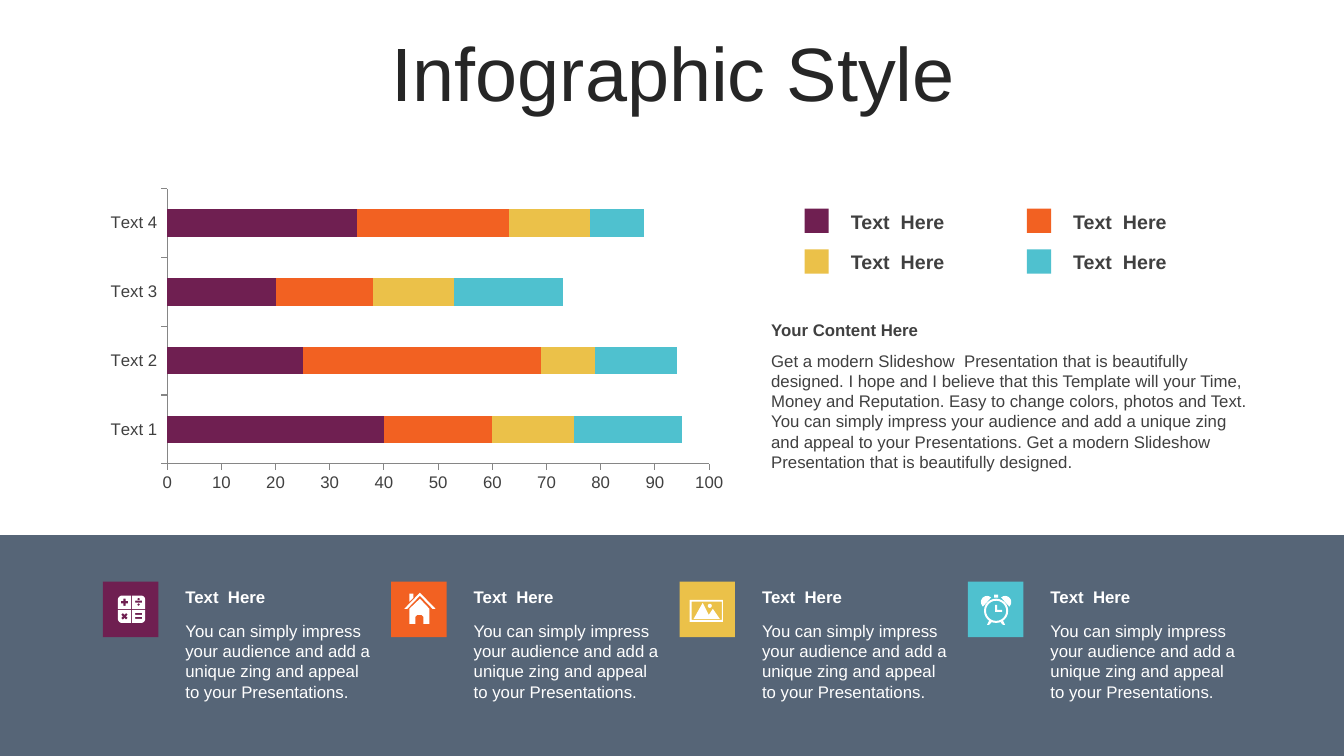
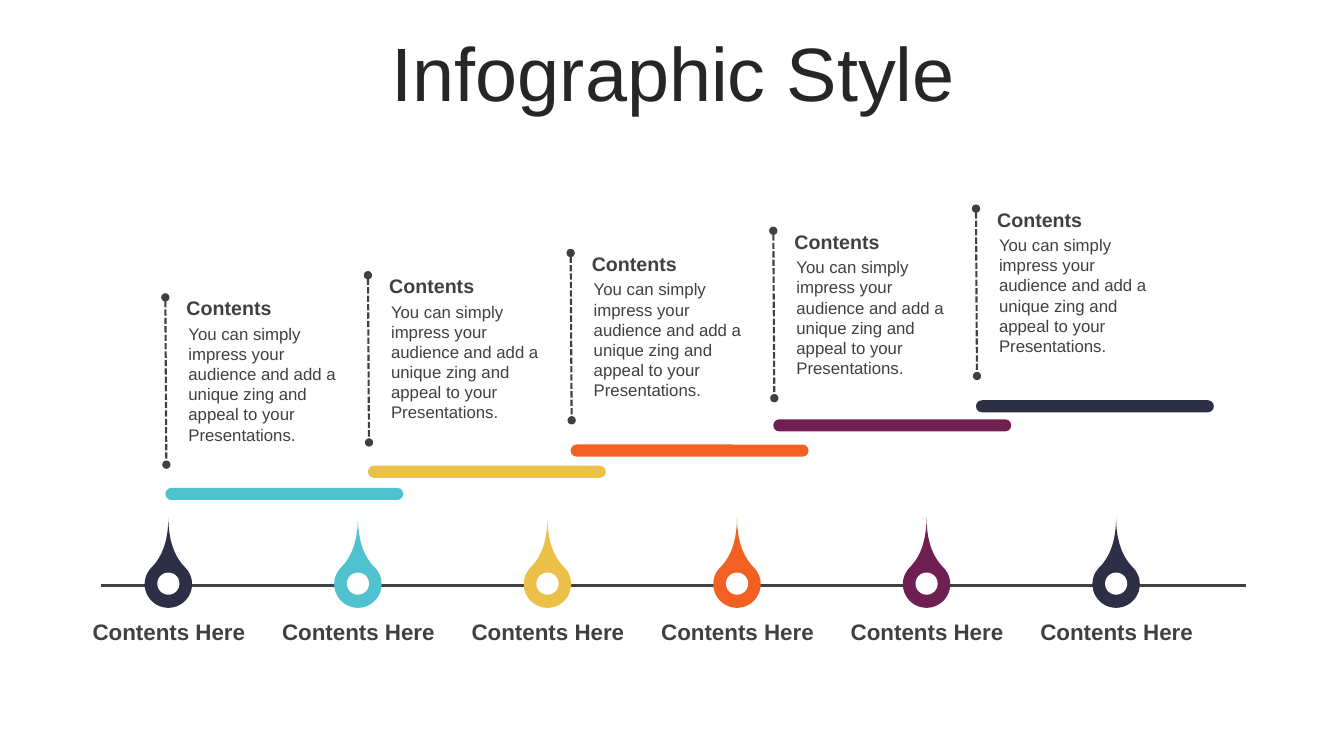
import dataclasses
import math

import lxml.etree
import pptx
import pptx.chart.data
import pptx.dml.color
import pptx.enum.chart
import pptx.enum.dml
import pptx.enum.shapes
import pptx.enum.text
import pptx.oxml.ns
import pptx.util

Inches = pptx.util.Inches
SHAPES = pptx.enum.shapes.MSO_SHAPE
ALIGN = pptx.enum.text.PP_ALIGN
qn = pptx.oxml.ns.qn


@dataclasses.dataclass(frozen=True)
class Theme:
    font: str = "Arial"
    title_color: str = "262626"
    text: str = "404040"
    white: str = "FFFFFF"
    axis: str = "868686"
    band: str = "0F243E"
    plum: str = "6F1F51"
    orange: str = "F26122"
    yellow: str = "EBC149"
    teal: str = "4FC1CF"
    navy: str = "2C2F45"
    title_size: int = 54
    label_size: int = 16
    heading_size: int = 14
    body_size: int = 12


THEME = Theme()
SERIES_COLORS = (THEME.plum, THEME.orange, THEME.yellow, THEME.teal)
STEP_COLORS = (THEME.teal, THEME.yellow, THEME.orange, THEME.plum, THEME.navy)

TITLE = "Infographic Style"
SHORT_TEXT = ("You can simply impress your audience and add a unique zing "
              "and appeal to your Presentations.")
LONG_TEXT = ("Get a modern Slideshow  Presentation that is beautifully designed. "
             "I hope and I believe that this Template will your Time, Money and "
             "Reputation. Easy to change colors, photos and Text. You can simply "
             "impress your audience and add a unique zing and appeal to your "
             "Presentations. Get a modern Slideshow  Presentation that is "
             "beautifully designed.")
CATEGORIES = ("Text 1", "Text 2", "Text 3", "Text 4")
SERIES = {
    "Series 1": (40, 25, 20, 35),
    "Series 2": (20, 44, 18, 28),
    "Series 3": (15, 10, 15, 15),
    "Series 4": (20, 15, 20, 10),
}


# Shared helpers
def rgb(value):
    return pptx.dml.color.RGBColor.from_string(value)


def set_all(target, values):
    for name, value in values.items():
        setattr(target, name, value)


def set_font(font, size, color, bold=False):
    set_all(font, {"name": THEME.font, "size": pptx.util.Pt(size), "bold": bold})
    font.color.rgb = rgb(color)


def paint(shape, color):
    shape.shadow.inherit = False
    shape.fill.solid()
    shape.fill.fore_color.rgb = rgb(color)
    shape.line.fill.background()
    return shape


def add_block(page, kind, box, color):
    shape = page.shapes.add_shape(kind, *map(Inches, box))
    return paint(shape, color)


def add_text(page, box, text, size, color, bold=False, align=ALIGN.LEFT, margins=(0.1, 0.05)):
    frame = page.shapes.add_textbox(*map(Inches, box)).text_frame
    side, edge = map(Inches, margins)
    set_all(frame, {"word_wrap": True, "margin_left": side, "margin_right": side,
                    "margin_top": edge, "margin_bottom": edge,
                    "auto_size": pptx.enum.text.MSO_AUTO_SIZE.SHAPE_TO_FIT_TEXT})
    para = frame.paragraphs[0]
    para.alignment = align
    span = para.add_run()
    span.text = text
    set_font(span.font, size, color, bold)


def add_line(page, start, end, width, dotted_ends=False):
    line = page.shapes.add_connector(pptx.enum.shapes.MSO_CONNECTOR.STRAIGHT,
                                     *map(Inches, (*start, *end)))
    line.line.color.rgb = rgb(THEME.text)
    line.line.width = pptx.util.Pt(width)
    properties = line._element.spPr
    if dotted_ends:
        line.line.dash_style = pptx.enum.dml.MSO_LINE.SQUARE_DOT
        for end_tag in ("a:headEnd", "a:tailEnd"):
            lxml.etree.SubElement(properties.find(qn("a:ln")), qn(end_tag), type="oval")
    lxml.etree.SubElement(properties, qn("a:effectLst"))


def add_titled_page(deck):
    page = deck.slides.add_slide(deck.slide_layouts[5])
    title = page.shapes.title
    set_all(title, dict(zip(("left", "top", "width", "height"),
                            map(Inches, (0.35, 0.37, 12.66, 0.79)))))
    frame = title.text_frame
    frame.text = TITLE
    set_all(frame, {"word_wrap": True, "auto_size": pptx.enum.text.MSO_AUTO_SIZE.NONE,
                    "vertical_anchor": pptx.enum.text.MSO_ANCHOR.MIDDLE})
    para = frame.paragraphs[0]
    set_all(para, {"alignment": ALIGN.CENTER, "line_spacing": 0.9})
    set_font(para.runs[0].font, THEME.title_size, THEME.title_color)
    return page


# Icon outlines, in hundredths of an inch from the tile corner
def arc(x, y, radius, start=0, stop=360, steps=24):
    angles = [math.radians(start + (stop - start) * i / steps) for i in range(steps + 1)]
    return [(x + radius * math.cos(a), y + radius * math.sin(a)) for a in angles]


def rectangle(left, top, right, bottom):
    return [(left, top), (right, top), (right, bottom), (left, bottom)]


def cross(x, y, turn=0):
    arm, half = 3.5, 1.2
    corners = []
    for quarter in range(4):
        angle = math.radians(turn + 90 * quarter)
        for along, across in ((arm, -half), (arm, half), (half, half)):
            corners.append((x + along * math.cos(angle) - across * math.sin(angle),
                            y + along * math.sin(angle) + across * math.cos(angle)))
    return corners


def mirror(outline, axis):
    return [(2 * axis - x, y) for x, y in outline]


def calculator_icon():
    key = [(0.5, 0.5), (13.5, 0.5), *arc(9.5, 9.5, 4, 0, 90, 6), (0.5, 13.5)]
    keys = [[(28.5 + sx * x, 27.5 + sy * y) for x, y in key]
            for sx in (-1, 1) for sy in (-1, 1)]
    divide = [rectangle(32, 19, 39, 21), arc(35.5, 17.4, 1.2), arc(35.5, 22.8, 1.2)]
    equals = [rectangle(32, 31, 39, 33), rectangle(32, 35, 39, 37)]
    return [*keys, cross(21.5, 20.5), cross(21.5, 34.5, 45), *divide, *equals]


def house_icon():
    roof = [(28.5, 11), (44, 27), (41, 27), (28.5, 14), (16, 27), (13, 27)]
    chimney = [(18, 12), (22, 12), (22, 16), (18, 20)]
    walls = [(28.5, 17), (38, 27), (38, 42), (32, 42), (32, 35), (30, 33),
             (26, 33), (24, 35), (24, 42), (18, 42), (18, 27)]
    return [roof, chimney, walls]


def photo_icon():
    hills = [(23, 21), (29, 33), (33, 27), (40, 37), (14, 37)]
    return [rectangle(10, 18, 43, 40), rectangle(12, 20, 42, 38), hills, arc(30, 24, 2)]


def clock_icon():
    hands = [(27, 23), (29, 23), (29, 28), (34, 28), (34, 30), (27, 30)]
    bell = arc(19, 20.3, 6, 132, 312)
    leg = [(21, 43), (19, 43), (21, 39), (23.5, 40.5)]
    return [arc(28, 29, 12), arc(28, 29, 10), hands, rectangle(26, 13, 30, 16),
            bell, mirror(bell, 28), leg, mirror(leg, 28)]


def add_icon(page, left, top, outlines):
    scaled = [[(x * 10, y * 10) for x, y in outline] for outline in outlines]
    builder = page.shapes.build_freeform(*scaled[0][0], scale=Inches(1) / 1000)
    for index, outline in enumerate(scaled):
        if index:
            builder.move_to(*outline[0])
        builder.add_line_segments(outline[1:], close=True)
    paint(builder.convert_to_shape(Inches(left), Inches(top)), THEME.white)


# Chart slide regions
def add_bar_chart(page, box):
    data = pptx.chart.data.CategoryChartData()
    data.categories = CATEGORIES
    for name, values in SERIES.items():
        data.add_series(name, values)
    chart = page.shapes.add_chart(pptx.enum.chart.XL_CHART_TYPE.BAR_STACKED,
                                  *map(Inches, box), data).chart
    set_all(chart, {"has_legend": False, "has_title": False})
    set_font(chart.font, THEME.body_size, THEME.text)
    plot = chart.plots[0]
    set_all(plot, {"gap_width": 150, "overlap": 100, "vary_by_categories": False})
    for series, color in zip(plot.series, SERIES_COLORS):
        series.format.fill.solid()
        series.format.fill.fore_color.rgb = rgb(color)
    for axis in (chart.category_axis, chart.value_axis):
        set_all(axis, {"has_major_gridlines": False,
                       "major_tick_mark": pptx.enum.chart.XL_TICK_MARK.OUTSIDE,
                       "minor_tick_mark": pptx.enum.chart.XL_TICK_MARK.NONE})
        axis.format.line.color.rgb = rgb(THEME.axis)
        set_font(axis.tick_labels.font, THEME.body_size, THEME.text)
    set_all(chart.value_axis, {"minimum_scale": 0, "maximum_scale": 100, "major_unit": 10})


def add_legend(page, box):
    left, top, width, height = box
    for index, color in enumerate(SERIES_COLORS):
        row, column = divmod(index, 2)
        x, y = left + column * width / 2, top + row * height / 2
        add_block(page, SHAPES.RECTANGLE, (x, y + 0.04, 0.24, 0.24), color)
        add_text(page, (x + 0.36, y, 1.49, 0.34), "Text  Here",
                 THEME.heading_size, THEME.text, bold=True)


def add_summary(page, box):
    left, top, width, height = box
    add_text(page, (left, top, width, 0.3), "Your Content Here",
             THEME.body_size, THEME.text, bold=True)
    add_text(page, (left, top + 0.31, width, height - 0.31), LONG_TEXT,
             THEME.body_size, THEME.text)


def add_feature_band(page, box):
    left, top, width, height = box
    band = add_block(page, SHAPES.RECTANGLE, box, THEME.band)
    color = band._element.spPr.find(".//" + qn("a:srgbClr"))
    lxml.etree.SubElement(color, qn("a:alpha"), val="70000")
    icons = (calculator_icon(), house_icon(), photo_icon(), clock_icon())
    y = top + 0.46
    for index, (fill, icon) in enumerate(zip(SERIES_COLORS, icons)):
        x = left + 1.02 + index * 2.86
        add_block(page, SHAPES.RECTANGLE, (x, y, 0.55, 0.55), fill)
        add_icon(page, x, y, icon)
        add_text(page, (x + 0.72, y, 2.05, 0.3), "Text  Here",
                 THEME.body_size, THEME.white, bold=True)
        add_text(page, (x + 0.72, y + 0.34, 2.05, 0.91), SHORT_TEXT,
                 THEME.body_size, THEME.white)


def build_chart_page(deck):
    page = add_titled_page(deck)
    add_feature_band(page, (0, 5.31, 13.33, 2.19))
    add_bar_chart(page, (0.97, 1.81, 6.33, 3.13))
    add_legend(page, (7.98, 2.03, 4.41, 0.81))
    add_summary(page, (7.55, 3.12, 4.92, 1.62))


# Timeline slide regions
def add_timeline(page, box):
    left, top, width, height = box
    axis_y = top + 0.25
    add_line(page, (left, axis_y), (left + width, axis_y), 1.75)
    for index, color in enumerate((THEME.navy, *STEP_COLORS)):
        center = left + 0.67 + index * 1.88
        drop = add_block(page, SHAPES.TEAR, (center - 0.235, top, 0.47, 0.47), color)
        drop.rotation = 315
        drop.adjustments[0] = 2
        add_block(page, SHAPES.OVAL, (center - 0.11, top + 0.12, 0.22, 0.22), THEME.white)
        add_text(page, (center - 0.8, top + 0.57, 1.61, 0.27), "Contents Here",
                 THEME.label_size, THEME.text, bold=True, align=ALIGN.CENTER, margins=(0, 0))


def add_step(page, box, bar_top, color):
    left, top, width, height = box
    bar = add_block(page, SHAPES.ROUNDED_RECTANGLE, (left, bar_top, width, 0.12), color)
    bar.adjustments[0] = 0.5
    add_text(page, (left + 0.13, top + 0.27, 1.72, 1.31), SHORT_TEXT,
             THEME.body_size, THEME.text)
    add_text(page, (left + 0.09, top, 1.73, 0.34), "Contents",
             THEME.heading_size, THEME.text, bold=True, margins=(0.12, 0.05))
    add_line(page, (left, top + 0.06), (left + 0.01, top + height), 1.5, dotted_ends=True)


def build_timeline_page(deck):
    page = add_titled_page(deck)
    add_timeline(page, (1, 5.56, 11.36, 0.84))
    bar_tops = (4.84, 4.62, 4.41, 4.16, 3.97)
    for index, (bar_top, color) in enumerate(zip(bar_tops, STEP_COLORS)):
        box = (1.64 + index * 2.01, 2.89 - index * 0.22, 2.36, 1.72)
        add_step(page, box, bar_top, color)


def main():
    deck = pptx.Presentation()
    set_all(deck, {"slide_width": Inches(13.33), "slide_height": Inches(7.5)})
    build_chart_page(deck)
    build_timeline_page(deck)
    deck.save("out.pptx")


if __name__ == "__main__":
    main()
